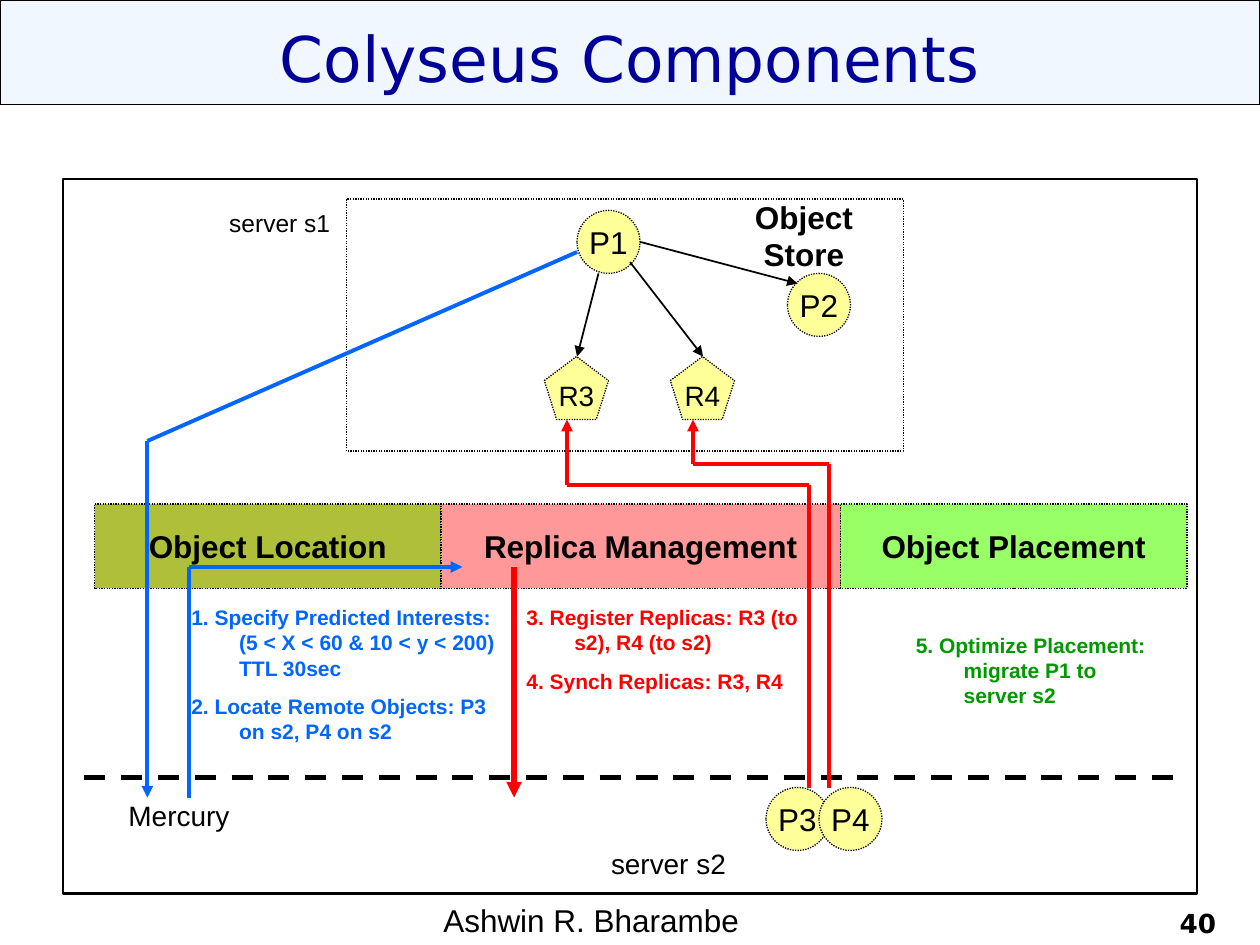
import itertools
import pptx
import pptx.util
import pptx.dml.color
import pptx.enum.dml
import pptx.enum.shapes
import pptx.enum.text
import pptx.oxml
import pptx.oxml.ns

Inches = pptx.util.Inches
Pt = pptx.util.Pt
SHAPE = pptx.enum.shapes.MSO_SHAPE
DASH = pptx.enum.dml.MSO_LINE
ANCHOR = pptx.enum.text.MSO_ANCHOR
ALIGN = pptx.enum.text.PP_ALIGN

BLACK, RED, BLUE, GREEN = "000000", "FF0000", "0066FF", "009900"
YELLOW = "FFFF99"


def paint(target, color):
    """Set a fill or a line to a solid colour."""
    fill = getattr(target, "fill", target)
    fill.solid()
    fill.fore_color.rgb = pptx.dml.color.RGBColor.from_string(color)


def write(par, text, size, color=BLACK, bold=False, font="Arial"):
    """Add one run per line of text, with line breaks between."""
    for i, line in enumerate(text.split("\n")):
        if i:
            par.add_line_break()
        run = par.add_run()
        run.text = line
        run.font.name = font
        run.font.size = Pt(size)
        run.font.bold = bold
        paint(run.font, color)


def add_box(slide, kind, at, fill=None, width=0.75, dash=None):
    box = slide.shapes.add_shape(kind, *map(Inches, at))
    box.shadow.inherit = False
    if fill:
        paint(box.fill, fill)
    else:
        box.fill.background()
    paint(box.line, BLACK)
    box.line.width = Pt(width)
    if dash:
        box.line.dash_style = dash
    return box


def add_node(slide, kind, at, fill, text, size=18, bold=False):
    """Add a dotted shape with a centred label."""
    box = add_box(slide, kind, at, fill, dash=DASH.ROUND_DOT)
    frame = box.text_frame
    frame.word_wrap = False
    frame.vertical_anchor = ANCHOR.MIDDLE
    par = frame.paragraphs[0]
    par.alignment = ALIGN.CENTER
    write(par, text, size, bold=bold)


def add_label(slide, at, text, size, align=ALIGN.CENTER, anchor=ANCHOR.TOP,
              wrap=False, **style):
    frame = slide.shapes.add_textbox(*map(Inches, at)).text_frame
    frame.word_wrap = wrap
    frame.vertical_anchor = anchor
    par = frame.paragraphs[0]
    par.alignment = align
    write(par, text, size, **style)


def add_steps(slide, at, color, steps):
    """Add numbered steps with a hanging indent."""
    frame = slide.shapes.add_textbox(*map(Inches, at)).text_frame
    frame.word_wrap = True
    for i, step in enumerate(steps):
        par = frame.add_paragraph() if i else frame.paragraphs[0]
        props = par._p.get_or_add_pPr()
        props.set("marL", str(Inches(0.38)))
        props.set("indent", str(-Inches(0.38)))
        if i:
            par.space_before = Pt(7.5)
        write(par, step, 12, color, bold=True)


def add_route(slide, points, color, width, arrow=True, dash=None):
    """Join the points with lines; the arrow sits at the last point."""
    for start, end in itertools.pairwise(points):
        line = slide.shapes.add_connector(
            pptx.enum.shapes.MSO_CONNECTOR.STRAIGHT,
            *map(Inches, start + end))
        paint(line.line, color)
        line.line.width = Pt(width)
        if dash:
            line.line.dash_style = dash
        props = line._element.spPr
        props.append(pptx.oxml.parse_xml(
            f"<a:effectLst {pptx.oxml.ns.nsdecls('a')}/>"))
    if arrow:
        line.line._get_or_add_ln().append(pptx.oxml.parse_xml(
            f'<a:tailEnd {pptx.oxml.ns.nsdecls("a")} type="triangle"/>'))


def add_store(slide):
    add_box(slide, SHAPE.RECTANGLE, (2.75, 1.58, 4.42, 2),
            dash=DASH.ROUND_DOT)
    for name, x, y in (("P1", 4.58, 1.67), ("P2", 6.25, 2.17)):
        add_node(slide, SHAPE.OVAL, (x, y, 0.5, 0.5), YELLOW, name)
    for name, x in (("R3", 4.32), ("R4", 5.32)):
        add_node(slide, SHAPE.REGULAR_PENTAGON, (x, 2.83, 0.51, 0.5),
                 YELLOW, name, 16)
    for start, end in (((4.75, 2.17), (4.58, 2.83)),
                       ((5, 2.08), (5.58, 2.83)),
                       ((5.08, 1.92), (6.33, 2.25))):
        add_route(slide, (start, end), BLACK, 1)
    add_label(slide, (5.54, 1.52, 1.68, 0.4), "Object Store", 18, bold=True)


def add_parts(slide):
    left = 0.75
    for name, width, fill in (("Object Location", 2.75, "AFBF39"),
                              ("Replica Management", 3.17, "FF9999"),
                              ("Object Placement", 2.75, "99FF66")):
        add_node(slide, SHAPE.RECTANGLE, (left, 4, width, 0.67), fill, name,
                 bold=True)
        left += width


def add_flows(slide):
    add_route(slide, ((4.08, 4.5), (4.08, 6.33)), RED, 3)
    for base, mid, top in ((6.42, 3.85, 4.5), (6.58, 3.68, 5.5)):
        add_route(slide, ((base, 6.25), (base, mid), (top, mid),
                          (top, 3.33)), RED, 2.25)
    add_route(slide, ((4.58, 2), (1.17, 3.5), (1.17, 6.33)), BLUE, 2.25)
    add_route(slide, ((1.5, 6.33), (1.5, 4.5), (3.67, 4.5)), BLUE, 2.25)


def main():
    deck = pptx.Presentation()
    deck.slide_width, deck.slide_height = Inches(10), Inches(7.5)
    slide = deck.slides.add_slide(deck.slide_layouts[6])

    add_box(slide, SHAPE.RECTANGLE, (0, 0, 10, 0.83), "F0F7FF")
    add_box(slide, SHAPE.RECTANGLE, (0.5, 1.42, 9, 5.67), width=1.5)
    add_label(slide, (0.5, 0.08, 9, 0.75), "Colyseus Components", 36,
              anchor=ANCHOR.MIDDLE, wrap=True, color="000099",
              font="DejaVu Sans")

    add_store(slide)
    add_parts(slide)
    add_route(slide, ((0.67, 6.17), (9.42, 6.17)), BLACK, 3, arrow=False,
              dash=DASH.DASH)
    add_label(slide, (0.92, 6.29, 1, 0.37), "Mercury", 16)
    add_label(slide, (1.72, 1.6, 1, 0.34), "server s1", 14)
    add_label(slide, (4.75, 6.67, 1.11, 0.37), "server s2", 16)

    add_steps(slide, (1.42, 4.75, 2.67, 1.21), BLUE, (
        "1. Specify Predicted Interests:\n"
        "(5 < X < 60 & 10 < y < 200) TTL 30sec",
        "2. Locate Remote Objects: P3 on s2, P4 on s2"))
    add_steps(slide, (4.08, 4.75, 2.5, 0.81), RED, (
        "3. Register Replicas: R3 (to s2), R4 (to s2)",
        "4. Synch Replicas: R3, R4"))
    add_steps(slide, (7.17, 4.97, 2.17, 0.7), GREEN, (
        "5. Optimize Placement: migrate P1 to server s2",))

    add_flows(slide)
    for name, x in (("P3", 6.08), ("P4", 6.5)):
        add_node(slide, SHAPE.OVAL, (x, 6.25, 0.5, 0.5), YELLOW, name)

    add_label(slide, (3.42, 7.33, 3.17, 0.17), "Ashwin R. Bharambe", 18,
              ALIGN.LEFT, ANCHOR.BOTTOM, wrap=True)
    add_label(slide, (7.42, 7.25, 2.33, 0.25), "40", 15, ALIGN.RIGHT,
              ANCHOR.BOTTOM, wrap=True, bold=True, font="DejaVu Sans")
    deck.save("out.pptx")


if __name__ == "__main__":
    main()
